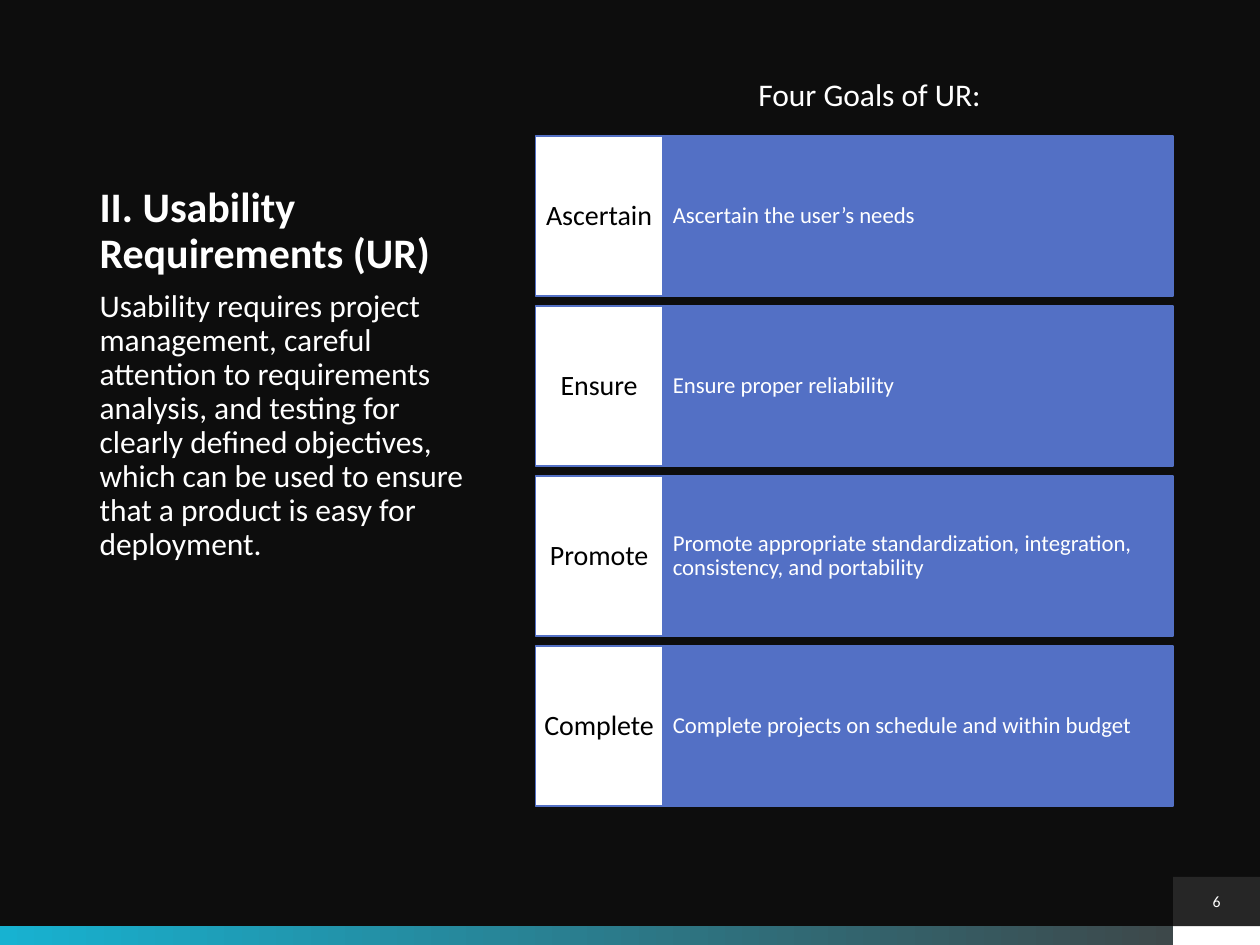
"""Build the usability requirements slide."""
import dataclasses

import lxml.etree
import pptx
import pptx.dml.color
import pptx.enum.shapes
import pptx.enum.text
import pptx.oxml.ns
import pptx.util

Inches = pptx.util.Inches
Pt = pptx.util.Pt
Align = pptx.enum.text.PP_ALIGN
Anchor = pptx.enum.text.MSO_ANCHOR


@dataclasses.dataclass(frozen=True)
class Theme:
    """Colours, font and type sizes of the slide."""
    font: str = "Calibri"
    back: str = "0D0D0D"
    light: str = "FFFFFF"
    dark: str = "000000"
    blue: str = "5370C5"
    teal: str = "17B2D1"
    grey: str = "404040"
    badge: str = "262626"
    title: float = 24
    body: float = 18
    label: float = 16
    goal: float = 13
    number: float = 9


THEME = Theme()
GOALS = [
    ("Ascertain", "Ascertain the user’s needs"),
    ("Ensure", "Ensure proper reliability"),
    ("Promote", "Promote appropriate standardization, integration, "
                "consistency, and portability"),
    ("Complete", "Complete projects on schedule and within budget"),
]


def rgb(code):
    """Return the colour of a hex code."""
    return pptx.dml.color.RGBColor.from_string(code)


def apply(item, values):
    """Set each attribute named in values on item."""
    for name, value in values.items():
        setattr(item, name, value)


def place(shape, box):
    """Move and size a shape to a box in inches."""
    names = ("left", "top", "width", "height")
    apply(shape, dict(zip(names, map(Inches, box))))


def write(shape, text, size, color=THEME.light, bold=False, align=Align.LEFT,
          anchor=Anchor.TOP, inset=(0.1, 0.05), spacing=0.9, before=0):
    """Fill a shape with one formatted paragraph."""
    frame = shape.text_frame
    side, edge = map(Inches, inset)
    apply(frame, {"text": text, "word_wrap": True, "vertical_anchor": anchor,
                  "auto_size": pptx.enum.text.MSO_AUTO_SIZE.NONE,
                  "margin_left": side, "margin_right": side,
                  "margin_top": edge, "margin_bottom": edge})
    para = frame.paragraphs[0]
    apply(para, {"alignment": align, "line_spacing": spacing,
                 "space_before": Pt(before)})
    font = para.runs[0].font
    apply(font, {"name": THEME.font, "size": Pt(size), "bold": bold})
    font.color.rgb = rgb(color)
    return para


def block(slide, box, fill=None, line=None):
    """Add a flat rectangle."""
    shape = slide.shapes.add_shape(
        pptx.enum.shapes.MSO_SHAPE.RECTANGLE, *map(Inches, box))
    shape.shadow.inherit = False
    if fill:
        shape.fill.solid()
        shape.fill.fore_color.rgb = rgb(fill)
    if line:
        shape.line.color.rgb = rgb(line)
        shape.line.width = Pt(1)
    else:
        shape.line.fill.background()
    return shape


def footer(slide, box, number):
    """Draw the gradient strip, its white end and the number badge."""
    left, top, width, height = box
    end, rise = 0.69, 0.39
    edge = left + width - end
    strip = block(slide, box)
    strip.fill.gradient()
    strip.fill.gradient_angle = 0
    for stop, code in zip(strip.fill.gradient_stops, (THEME.teal, THEME.grey)):
        stop.color.rgb = rgb(code)
    block(slide, (edge, top, end, height), THEME.light)
    badge = block(slide, (edge, top - rise, end, rise), THEME.badge)
    write(badge, number, THEME.number, align=Align.CENTER,
          anchor=Anchor.MIDDLE, spacing=1.0, before=1.9)


def intro(slide, box, title, text):
    """Place the title above the body text."""
    left, top, width, height = box
    split = 1.75
    head, body = slide.placeholders
    place(head, (left, top, width, split))
    place(body, (left, top + split, width, height - split))
    write(head, title, THEME.title, bold=True, anchor=Anchor.BOTTOM)
    para = write(body, text, THEME.body, before=7.5)
    props = para._p.get_or_add_pPr()
    apply_indent = {"marL": "0", "indent": "0"}
    for name, value in apply_indent.items():
        props.set(name, value)
    lxml.etree.SubElement(props, pptx.oxml.ns.qn("a:buNone"))


def goals(slide, box, items):
    """Stack one label and description row per goal."""
    left, top, width, height = box
    gap, side = 0.08, 1.01
    tall = (height - gap * (len(items) - 1)) / len(items)
    for index, (name, text) in enumerate(items):
        y = top + index * (tall + gap)
        bar = block(slide, (left + side, y, width - side, tall),
                    THEME.blue, THEME.blue)
        write(bar, text, THEME.goal, anchor=Anchor.MIDDLE, inset=(0.08, 0.32))
        tag = block(slide, (left, y, side, tall), THEME.light, THEME.blue)
        write(tag, name, THEME.label, THEME.dark, align=Align.CENTER,
              anchor=Anchor.MIDDLE, inset=(0.05, 0.13))


def heading(slide, box, text):
    """Add the heading over the goals."""
    label = slide.shapes.add_textbox(*map(Inches, box))
    write(label, text, THEME.body, spacing=1.0)


def main():
    """Assemble and save the slide."""
    deck = pptx.Presentation()
    apply(deck, {"slide_width": Inches(10), "slide_height": Inches(7.5)})
    slide = deck.slides.add_slide(deck.slide_layouts[1])
    slide.background.fill.solid()
    slide.background.fill.fore_color.rgb = rgb(THEME.back)
    footer(slide, (0, 7.35, 10, 0.15), "6")
    intro(slide, (0.69, 0.5, 3.23, 5.92), "II. Usability Requirements (UR)",
          "Usability requires project management, careful attention to "
          "requirements analysis, and testing for clearly defined objectives, "
          "which can be used to ensure that a product is easy for deployment.")
    goals(slide, (4.25, 1.08, 5.06, 5.32), GOALS)
    heading(slide, (5.92, 0.55, 3.83, 0.4), "Four Goals of UR:")
    deck.save("out.pptx")


main()
